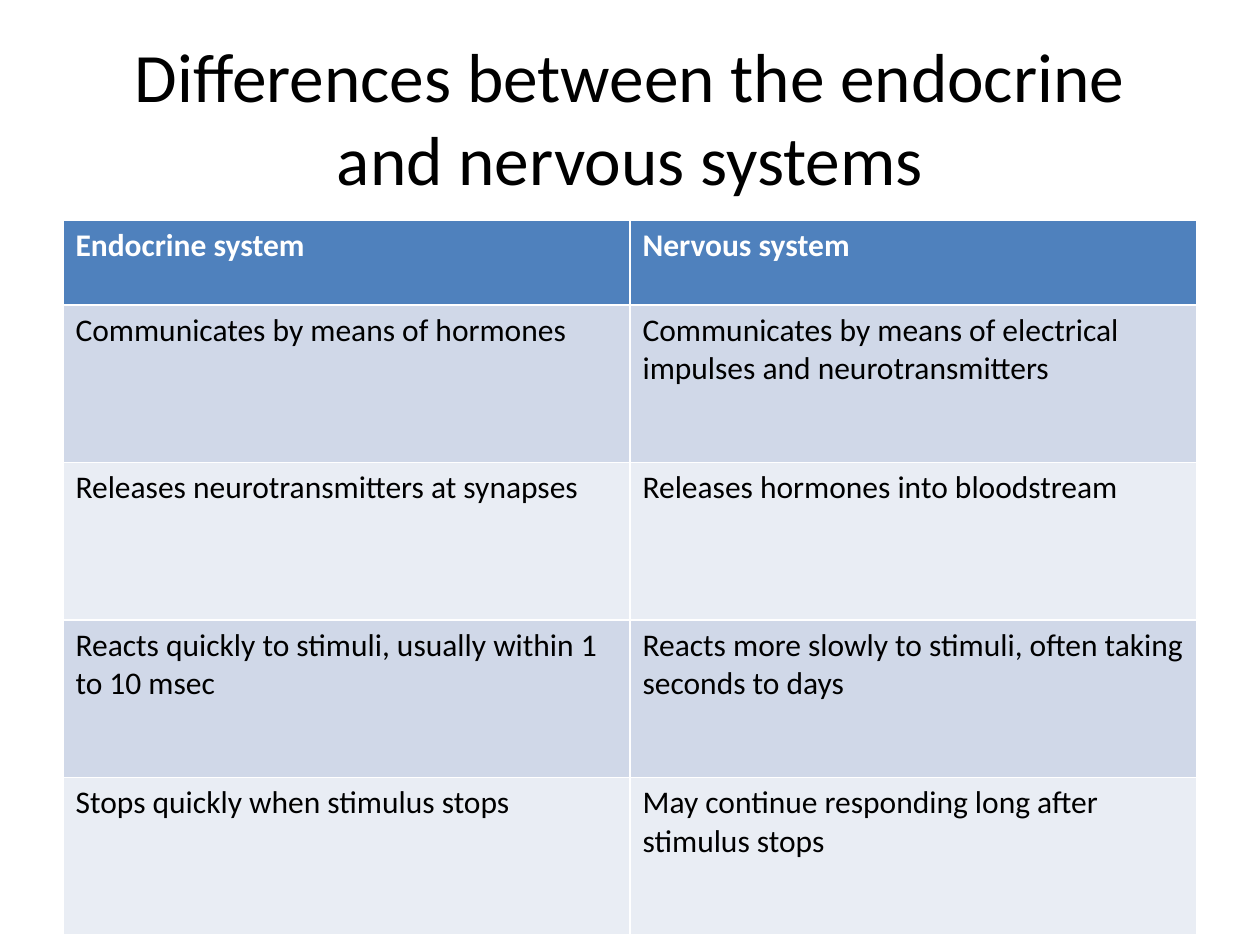
from pptx import Presentation
from pptx.dml.color import RGBColor
from pptx.enum.text import MSO_ANCHOR, MSO_AUTO_SIZE, PP_ALIGN
from pptx.util import Inches, Pt

ROWS = [
    ("Endocrine system", "Nervous system"),
    ("Communicates by means of hormones",
     "Communicates by means of electrical impulses and neurotransmitters"),
    ("Releases neurotransmitters at synapses",
     "Releases hormones into bloodstream"),
    ("Reacts quickly to stimuli, usually within 1 to 10 msec",
     "Reacts more slowly to stimuli, often taking seconds to days"),
    ("Stops quickly when stimulus stops",
     "May continue responding long after stimulus stops"),
]
HEAD, BANDS = "4F81BD", ("E9EDF4", "D0D8E8")


def color(text):
    return RGBColor.from_string(text)


def add_run(para, text, size, ink, bold=False):
    run = para.add_run()
    run.text = text
    font = run.font
    font.name, font.size, font.bold = "Calibri", Pt(size), bold
    font.color.rgb = color(ink)


def set_title(slide, text, left, top, width, height):
    title = slide.shapes.title
    title.left, title.top = Inches(left), Inches(top)
    title.width, title.height = Inches(width), Inches(height)
    frame = title.text_frame
    frame.word_wrap = True
    frame.auto_size = MSO_AUTO_SIZE.NONE
    frame.vertical_anchor = MSO_ANCHOR.MIDDLE
    para = frame.paragraphs[0]
    para.alignment = PP_ALIGN.CENTER
    add_run(para, text, 39.6, "000000")


def add_grid(slide, rows, left, top, width, head, body):
    """Add a header row of height head over rows of height body.

    The default table style draws the white cell borders.
    """
    count = len(rows)
    height = head + body * (count - 1)
    table = slide.shapes.add_table(
        count, len(rows[0]), Inches(left), Inches(top),
        Inches(width), Inches(height)).table
    for col in table.columns:
        col.width = Inches(width / len(rows[0]))
    for i, texts in enumerate(rows):
        first = i == 0
        table.rows[i].height = Inches(head if first else body)
        for j, text in enumerate(texts):
            cell = table.cell(i, j)
            cell.fill.solid()
            cell.fill.fore_color.rgb = color(HEAD if first else BANDS[i % 2])
            add_run(cell.text_frame.paragraphs[0], text, 18,
                    "FFFFFF" if first else "000000", first)


def main():
    prs = Presentation()
    prs.slide_width, prs.slide_height = Inches(10), Inches(7.5)
    slide = prs.slides.add_slide(prs.slide_layouts[5])
    set_title(slide, "Differences between the endocrine and nervous systems",
              0.5, 0.3, 9, 1.25)
    add_grid(slide, ROWS, 0.5, 1.75, 9, 0.67, 1.25)
    prs.save("out.pptx")


if __name__ == "__main__":
    main()
